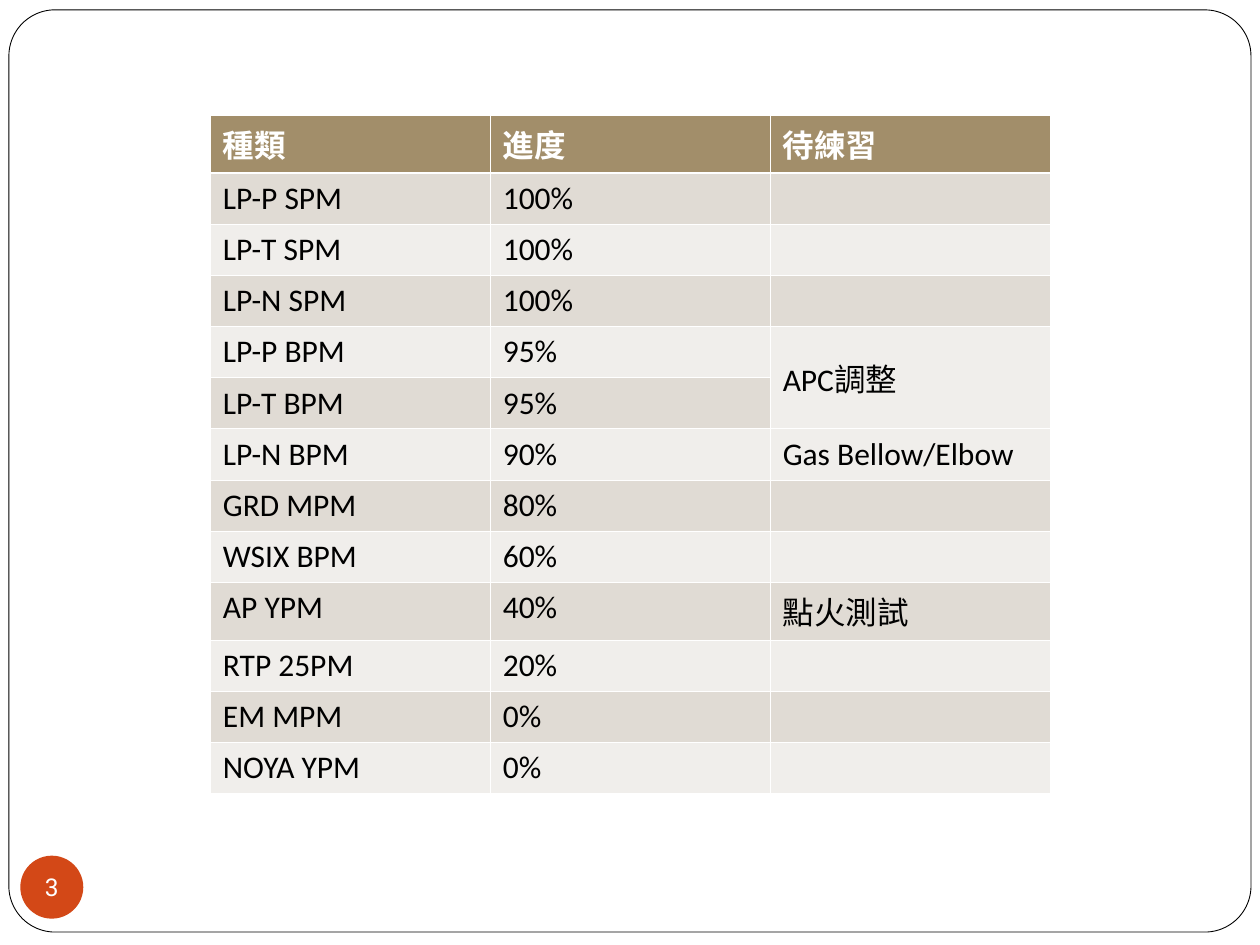
from lxml import etree
from pptx import Presentation
from pptx.dml.color import RGBColor
from pptx.enum.shapes import MSO_SHAPE
from pptx.enum.text import MSO_ANCHOR, PP_ALIGN
from pptx.oxml.ns import qn
from pptx.util import Cm, Pt

ROUNDED, OVAL = MSO_SHAPE.ROUNDED_RECTANGLE, MSO_SHAPE.OVAL
MIDDLE, CENTER = MSO_ANCHOR.MIDDLE, PP_ALIGN.CENTER

THEME = {
    "white": "FFFFFF", "black": "000000", "accent": "D34817",
    "header": "A28E6A", "bands": ("F0EEEB", "E0DBD4"),
    "table_font": "Calibri", "table_size": 18,
    "number_font": "Roboto", "number_size": 14,
    "frame_line": 0.5, "thin": 0.45, "thick": 1.47,
}

ROWS = [
    ("種類", "進度", "待練習"),
    ("LP-P SPM", "100%", ""),
    ("LP-T SPM", "100%", ""),
    ("LP-N SPM", "100%", ""),
    ("LP-P BPM", "95%", "APC調整"),
    ("LP-T BPM", "95%", ""),
    ("LP-N BPM", "90%", "Gas Bellow/Elbow"),
    ("GRD MPM", "80%", ""),
    ("WSIX BPM", "60%", ""),
    ("AP YPM", "40%", "點火測試"),
    ("RTP 25PM", "20%", ""),
    ("EM MPM", "0%", ""),
    ("NOYA YPM", "0%", ""),
]
MERGED_ROW, NOTE_COL = 4, 2


def set_font(font, name, size, color, bold=False):
    for key, value in {"name": name, "size": Pt(size), "bold": bold}.items():
        setattr(font, key, value)
    font.color.rgb = RGBColor.from_string(color)


def set_borders(cell, widths):
    properties = cell._tc.get_or_add_tcPr()
    for side, width in widths.items():
        line = etree.SubElement(properties, qn(f"a:ln{side}"), w=str(Pt(width)))
        fill = etree.SubElement(line, qn("a:solidFill"))
        etree.SubElement(fill, qn("a:srgbClr"), val=THEME["white"])


prs = Presentation()
prs.slide_width, prs.slide_height = Cm(25.4), Cm(19.05)
slide = prs.slides.add_slide(prs.slide_layouts[6])

frame = slide.shapes.add_shape(ROUNDED, Cm(0.18), Cm(0.2), Cm(25.04), Cm(18.59))
frame.shadow.inherit = False
frame.adjustments[0] = 0.05
frame.fill.solid()
frame.fill.fore_color.rgb = RGBColor.from_string(THEME["white"])
frame.line.color.rgb = RGBColor.from_string(THEME["black"])
frame.line.width = Pt(THEME["frame_line"])

badge = slide.shapes.add_shape(OVAL, Cm(0.41), Cm(17.25), Cm(1.27), Cm(1.27))
badge.shadow.inherit = False
badge.fill.solid()
badge.fill.fore_color.rgb = RGBColor.from_string(THEME["accent"])
badge.line.fill.background()
badge_text = badge.text_frame
for key, value in {"margin_left": 0, "margin_top": 0, "margin_right": 0,
                   "margin_bottom": 0, "word_wrap": False,
                   "vertical_anchor": MIDDLE}.items():
    setattr(badge_text, key, value)
page_number = badge_text.paragraphs[0]
page_number.alignment = CENTER
page_number.text = "3"
set_font(page_number.font, THEME["number_font"], THEME["number_size"], THEME["white"])

progress = slide.shapes.add_table(
    len(ROWS), len(ROWS[0]), Cm(4.24), Cm(2.32), Cm(16.93), Cm(1.03 * len(ROWS))).table
progress.horz_banding = False
for row in progress.rows:
    row.height = Cm(1.03)

for r, entries in enumerate(ROWS):
    is_header = r == 0
    for c, entry in enumerate(entries):
        cell = progress.cell(r, c)
        set_borders(cell, {
            "L": THEME["thin"], "R": THEME["thin"],
            "T": THEME["thick"] if r == 1 else THEME["thin"],
            "B": THEME["thick"] if is_header else THEME["thin"],
        })
        cell.fill.solid()
        cell.fill.fore_color.rgb = RGBColor.from_string(
            THEME["header"] if is_header else THEME["bands"][r % 2])
        cell.text = entry
        set_font(cell.text_frame.paragraphs[0].font, THEME["table_font"],
                 THEME["table_size"],
                 THEME["white"] if is_header else THEME["black"], is_header)

apc_note = progress.cell(MERGED_ROW, NOTE_COL)
apc_note.merge(progress.cell(MERGED_ROW + 1, NOTE_COL))
apc_note.vertical_anchor = MIDDLE

prs.save("out.pptx")
